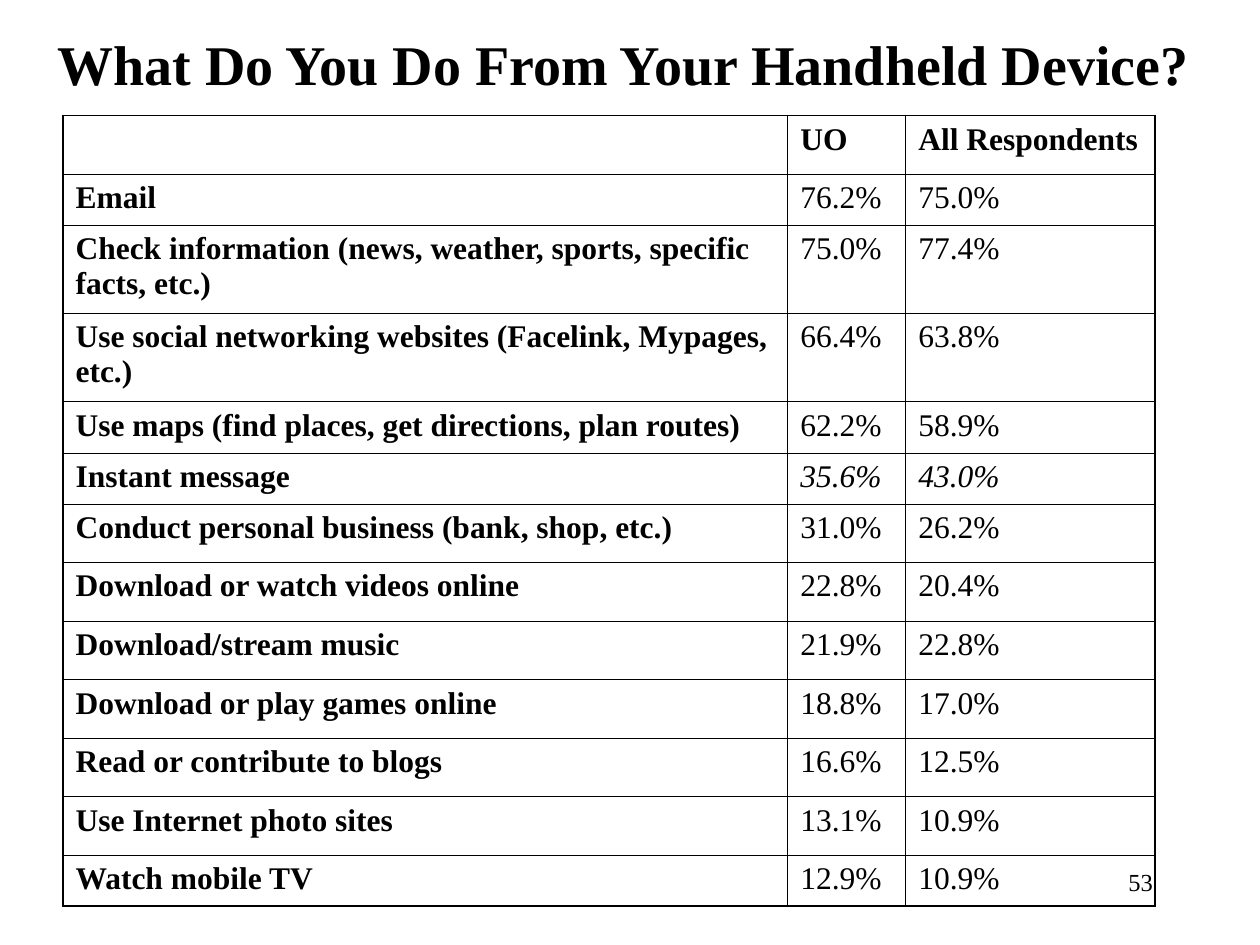
from lxml.etree import SubElement as Sub
from pptx import Presentation
from pptx.dml.color import RGBColor as Rgb
from pptx.enum.text import MSO_ANCHOR as Anchor, PP_ALIGN as Align
from pptx.oxml.ns import qn
from pptx.util import Cm, Pt

COLORS = {"ink": "000000"}
FONT = "Times New Roman"
TITLE = "What Do You Do From Your Handheld Device? "
PAGE = "53"
ROWS = [
    ("", "UO", "All Respondents"),
    ("Email", "76.2%", "75.0%"),
    ("Check information (news, weather, sports, specific facts, etc.)", "75.0%", "77.4%"),
    ("Use social networking websites (Facelink, Mypages, etc.)", "66.4%", "63.8%"),
    ("Use maps (find places, get directions, plan routes)", "62.2%", "58.9%"),
    ("Instant message", "35.6%", "43.0%"),
    ("Conduct personal business (bank, shop, etc.)", "31.0%", "26.2%"),
    ("Download or watch videos online", "22.8%", "20.4%"),
    ("Download/stream music", "21.9%", "22.8%"),
    ("Download or play games online", "18.8%", "17.0%"),
    ("Read or contribute to blogs", "16.6%", "12.5%"),
    ("Use Internet photo sites", "13.1%", "10.9%"),
    ("Watch mobile TV", "12.9%", "10.9%"),
]
ITALIC = {"Instant message"}
SHORT, MID, TALL = 1.03, 1.18, 1.78
HEIGHTS = [MID, SHORT, TALL, TALL, SHORT, SHORT] + [MID] * 6 + [SHORT]
WIDTHS = [14.61, 2.38, 5.03]
THIN, THICK = 0.45, 1.08


def write(frame, text, size=18, bold=False, italic=False, align=Align.LEFT):
    """Write one formatted paragraph into a text frame."""
    frame.word_wrap = True
    para = frame.paragraphs[0]
    para.alignment = align
    run = para.add_run()
    run.text = text
    font = run.font
    font.name, font.size, font.bold, font.italic = FONT, Pt(size), bold, italic
    font.color.rgb = Rgb.from_string(COLORS["ink"])


def edge(cell, sides):
    """Draw the borders of a cell from (tag, points) pairs."""
    props = cell._tc.get_or_add_tcPr()
    for spot, (tag, width) in enumerate(sides):
        line = Sub(props, qn(f"a:{tag}"), w=str(Pt(width)))
        Sub(Sub(line, qn("a:solidFill")), qn("a:srgbClr"), val=COLORS["ink"])
        props.insert(spot, line)


def fill_grid(grid):
    """Size the table and fill its cells."""
    grid.first_row = grid.horz_banding = False
    for col, width in zip(grid.columns, WIDTHS):
        col.width = Cm(width)
    end, last = len(ROWS) - 1, len(WIDTHS) - 1
    for r, (row, height) in enumerate(zip(ROWS, HEIGHTS)):
        grid.rows[r].height = Cm(height)
        for c, text in enumerate(row):
            cell = grid.cell(r, c)
            cell.fill.background()
            outer = {"lnL": c == 0, "lnR": c == last, "lnT": r == 0, "lnB": r == end}
            edge(cell, [(tag, THICK if out else THIN) for tag, out in outer.items()])
            if text:
                write(cell.text_frame, text, bold=r == 0 or c == 0,
                      italic=c > 0 and row[0] in ITALIC)


def main():
    """Build and save the slide."""
    deck = Presentation()
    deck.slide_width, deck.slide_height = Cm(25.4), Cm(19.05)
    slide = deck.slides.add_slide(deck.slide_layouts[5])
    shapes = slide.shapes

    title = shapes.title
    title.left, title.top, title.width, title.height = Cm(0.43), Cm(0.43), Cm(24.56), Cm(1.7)
    title.text_frame.vertical_anchor = Anchor.MIDDLE
    write(title.text_frame, TITLE, size=32, bold=True, align=Align.CENTER)

    frame = shapes.add_table(len(ROWS), len(WIDTHS), Cm(1.27), Cm(2.33),
                             Cm(sum(WIDTHS)), Cm(sum(HEIGHTS)))
    fill_grid(frame.table)

    page = shapes.add_textbox(Cm(18.21), Cm(17.35), Cm(5.28), Cm(1.27))
    write(page.text_frame, PAGE, size=14, align=Align.RIGHT)
    deck.save("out.pptx")


if __name__ == "__main__":
    main()
